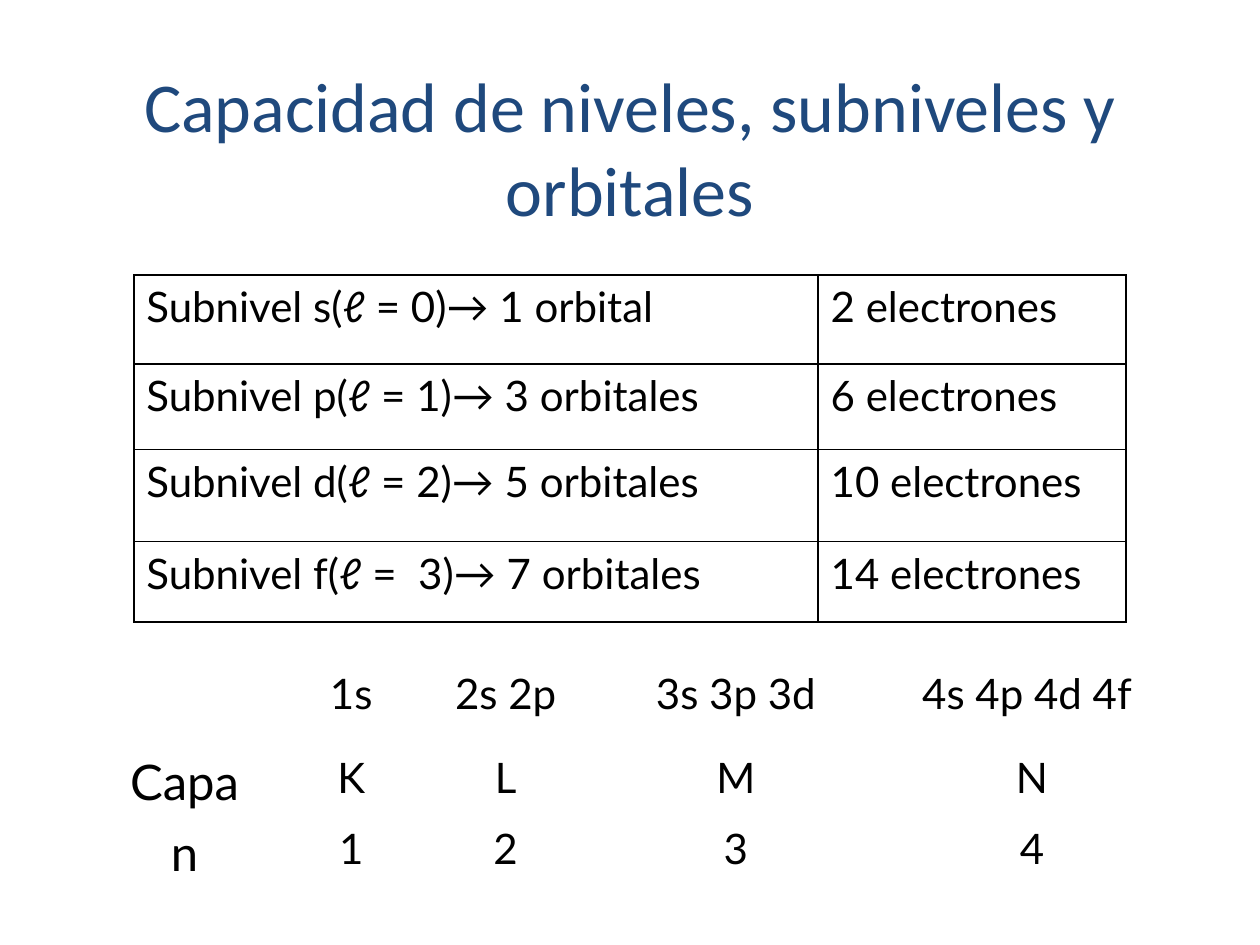
from pptx import Presentation
from pptx.dml.color import RGBColor
from pptx.enum.text import MSO_ANCHOR, PP_ALIGN
from pptx.oxml.ns import qn
from pptx.util import Pt
from lxml.etree import SubElement

BLACK = RGBColor(0, 0, 0)
WHITE = RGBColor(255, 255, 255)
NAVY = RGBColor(0x1F, 0x49, 0x7D)

TITLE = "Capacidad de niveles, subniveles y orbitales"
# Each cell is a list of runs; arrows are set in italics
SUBLEVELS = [
    (["Subnivel s(ℓ = 0)", "→", " 1 orbital"], ["2 electrones"]),
    (["Subnivel p(ℓ = 1)", "→", " 3 orbitales"], ["6 electrones"]),
    (["Subnivel d(ℓ = 2)", "→", " 5 orbitales"], ["10 electrones"]),
    (["Subnivel f(ℓ =  3)", "→", " 7 orbitales"], ["14 electrones"]),
]
SHELLS = [
    ([], ["1s"], ["2s 2p"], ["3s 3p 3d"], ["4s 4p 4d 4f "]),
    (["Capa"], ["K"], ["L"], ["M"], ["N"]),
    (["n"], ["1"], ["2"], ["3"], ["4"]),
]


def set_borders(cell, width):
    """Draw all four sides in black, or none of them when width is 0."""
    properties = cell._tc.get_or_add_tcPr()
    for position, side in enumerate(("a:lnL", "a:lnR", "a:lnT", "a:lnB")):
        line = properties.makeelement(qn(side), {"w": str(Pt(width))})
        properties.insert(position, line)
        if width:
            fill = SubElement(line, qn("a:solidFill"))
            SubElement(fill, qn("a:srgbClr"), val=str(BLACK))
        else:
            SubElement(line, qn("a:noFill"))


def style_run(run, font_name, size, color):
    run.font.name, run.font.size = font_name, Pt(size)
    run.font.color.rgb = color


def add_grid(slide, rows, left, top, widths, heights, border, align, label_size):
    """Add a plain table; label_size is the text size of its first column."""
    table = slide.shapes.add_table(
        len(rows), len(widths), Pt(left), Pt(top), Pt(sum(widths)), Pt(sum(heights))
    ).table
    table.first_row = table.horz_banding = False
    for column, width in zip(table.columns, widths):
        column.width = Pt(width)
    for row, height in zip(table.rows, heights):
        row.height = Pt(height)
    for r, row in enumerate(rows):
        for c, pieces in enumerate(row):
            cell = table.cell(r, c)
            cell.fill.solid()
            cell.fill.fore_color.rgb = WHITE
            set_borders(cell, border)
            paragraph = cell.text_frame.paragraphs[0]
            paragraph.alignment = align
            for piece in pieces:
                run = paragraph.add_run()
                run.text = piece
                style_run(run, "Lato", label_size if c == 0 else 24, BLACK)
                run.font.italic = piece == "→"


prs = Presentation()
prs.slide_width, prs.slide_height = Pt(720), Pt(540)
slide = prs.slides.add_slide(prs.slide_layouts[6])

add_grid(slide, SUBLEVELS, 76.5, 157, (391, 176), (51, 49, 52.5, 46),
         1, PP_ALIGN.LEFT, 24)

title = slide.shapes.add_textbox(Pt(36), Pt(30), Pt(648), Pt(108)).text_frame
title.word_wrap = True
title.vertical_anchor = MSO_ANCHOR.MIDDLE
title.text = TITLE
title.paragraphs[0].alignment = PP_ALIGN.CENTER
style_run(title.paragraphs[0].runs[0], "Calibri", 40, NAVY)

add_grid(slide, SHELLS, 48, 378, (115, 75.5, 101, 162, 176.5), (48, 41, 41),
         0, PP_ALIGN.CENTER, 28)

prs.save("out.pptx")
